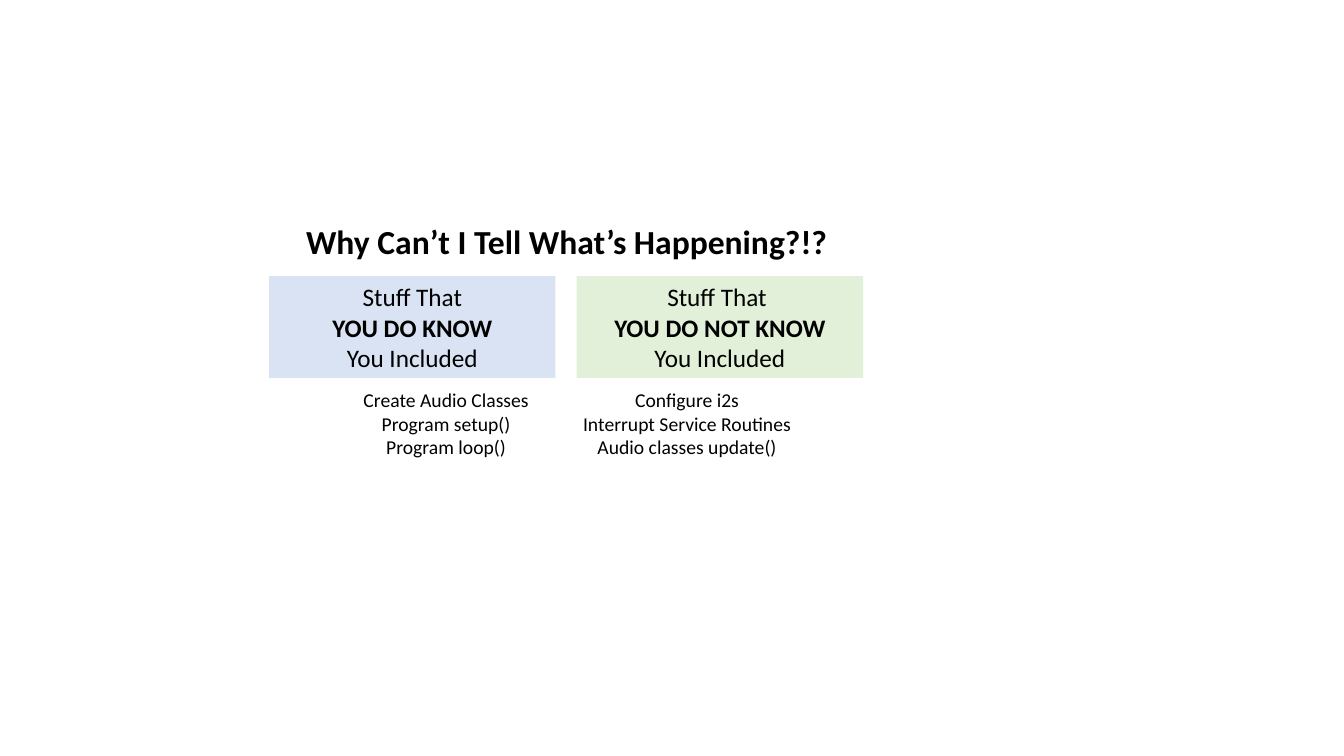
"""Build a slide comparing known and unknown included code."""
from pptx import Presentation
from pptx.dml.color import RGBColor
from pptx.enum.shapes import MSO_SHAPE as Shape
from pptx.enum.text import MSO_ANCHOR as Anchor, MSO_AUTO_SIZE as Fit, PP_ALIGN as Align
from pptx.util import Inches, Pt

BLACK = RGBColor(0x00, 0x00, 0x00)
BLUE = RGBColor(0xDA, 0xE3, 0xF3)
GREEN = RGBColor(0xE2, 0xF0, 0xD9)


def write(box, text, size, bold, anchor):
    frame = box.text_frame
    frame.text = text
    frame.word_wrap = True
    frame.auto_size = Fit.NONE
    frame.vertical_anchor = anchor
    for row, para in enumerate(frame.paragraphs):
        para.alignment = Align.CENTER
        para.line_spacing = 1.0
        for run in para.runs:
            font = run.font
            font.name = "Calibri"
            font.size = Pt(size)
            font.bold = row == bold
            font.color.rgb = BLACK


deck = Presentation()
deck.slide_width = Inches(13.33)
deck.slide_height = Inches(7.5)
slide = deck.slides.add_slide(deck.slide_layouts[5])

title = slide.shapes.title
title.left, title.top = Inches(2.67), Inches(2.14)
title.width, title.height = Inches(5.9), Inches(0.5)
write(title, "Why Can’t I Tell What’s Happening?!?", 24, 0, Anchor.TOP)

sides = [
    (2.67, BLUE, "Stuff That\nYOU DO KNOW\nYou Included",
     3.35, 2.15, "Create Audio Classes\nProgram setup()\nProgram loop()"),
    (5.72, GREEN, "Stuff That \nYOU DO NOT KNOW\nYou Included",
     5.6, 2.43, "Configure i2s\nInterrupt Service Routines\nAudio classes update()"),
]
for left, fill, head, start, width, items in sides:
    card = slide.shapes.add_shape(
        Shape.RECTANGLE, Inches(left), Inches(2.74), Inches(2.84), Inches(1.01))
    card.shadow.inherit = False
    card.fill.solid()
    card.fill.fore_color.rgb = fill
    card.line.fill.background()
    write(card, head, 18, 1, Anchor.MIDDLE)

    note = slide.shapes.add_textbox(
        Inches(start), Inches(3.8), Inches(width), Inches(0.81))
    write(note, items, 14, None, Anchor.TOP)

deck.save("out.pptx")
